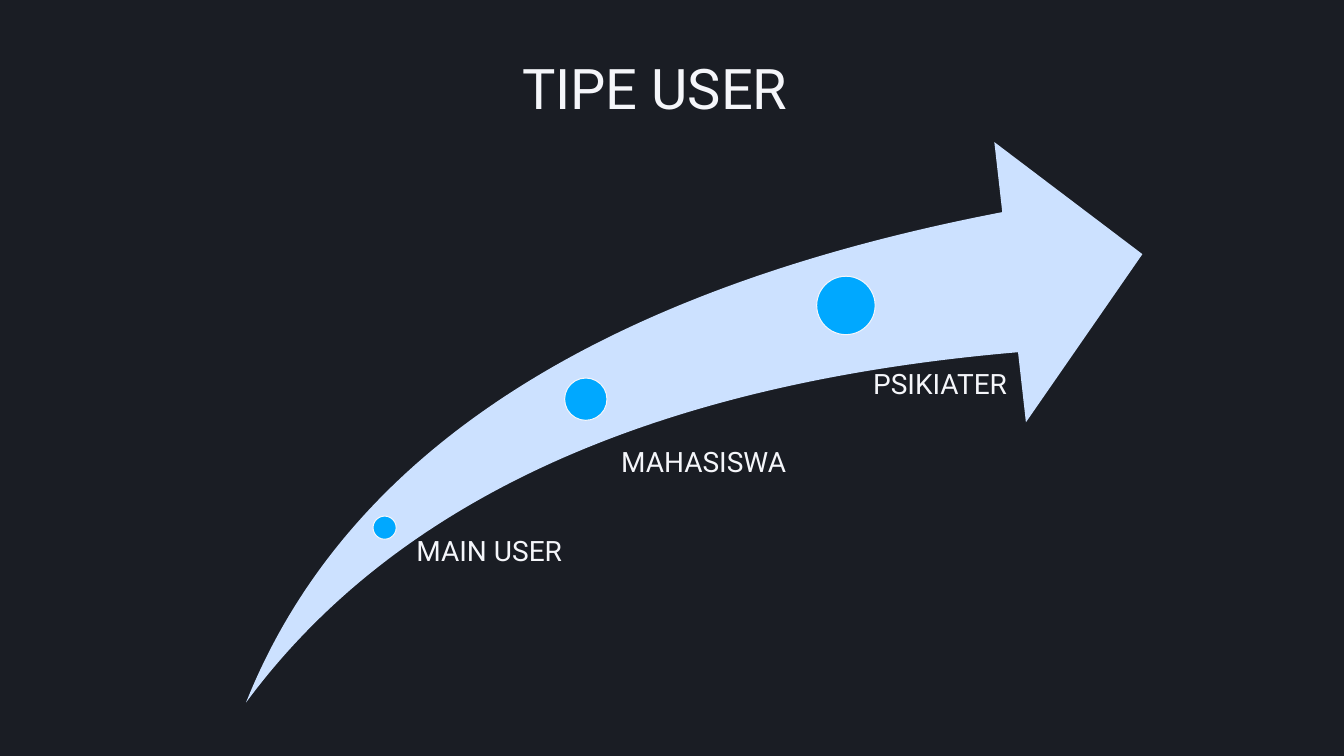
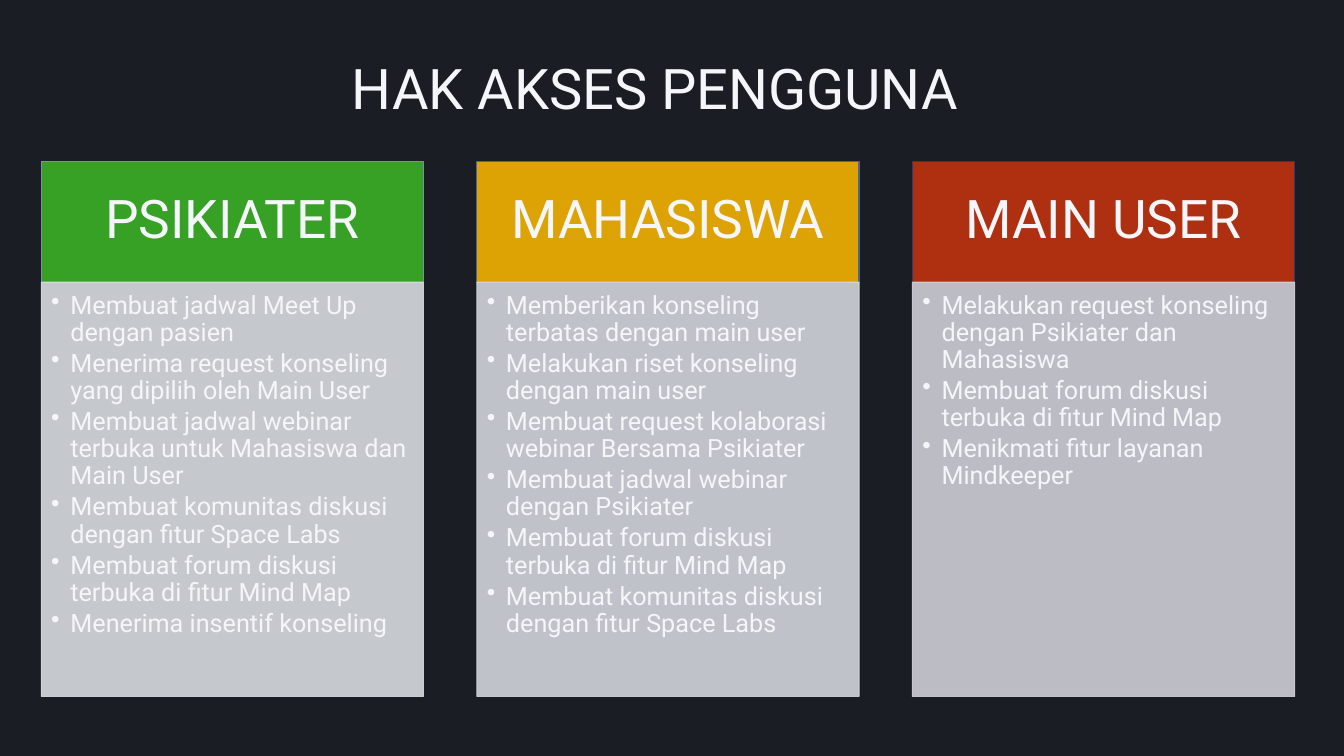
"""Build two slides on user types and their access rights."""
from dataclasses import dataclass

from pptx import Presentation
from pptx.dml.color import RGBColor
from pptx.enum.shapes import MSO_SHAPE
from pptx.enum.text import MSO_ANCHOR, MSO_AUTO_SIZE, PP_ALIGN
from pptx.oxml.ns import qn
from pptx.shapes.autoshape import Shape
from pptx.slide import Slide
from pptx.util import Inches, Pt

RECTANGLE = MSO_SHAPE.RECTANGLE
OVAL = MSO_SHAPE.OVAL
SWOOSH_ARROW = MSO_SHAPE.SWOOSH_ARROW
TOP = MSO_ANCHOR.TOP
MIDDLE = MSO_ANCHOR.MIDDLE
LEFT = PP_ALIGN.LEFT
CENTER = PP_ALIGN.CENTER
GROW = MSO_AUTO_SIZE.SHAPE_TO_FIT_TEXT

BACKGROUND = RGBColor(0x1A, 0x1D, 0x24)
LIGHT = RGBColor(0xF5, 0xF6, 0xFA)
PALE_BLUE = RGBColor(0xCC, 0xE1, 0xFF)
BRIGHT_BLUE = RGBColor(0x00, 0xA8, 0xFF)
GREEN = RGBColor(0x36, 0xA1, 0x25)
GREEN_EDGE = RGBColor(0x7F, 0x8F, 0xA1)
GREEN_PANEL = RGBColor(0xD8, 0xDB, 0xE0)
YELLOW = RGBColor(0xDD, 0xA3, 0x04)
YELLOW_EDGE = RGBColor(0x4B, 0x66, 0x93)
YELLOW_PANEL = RGBColor(0xD2, 0xD5, 0xDB)
RED = RGBColor(0xAF, 0x30, 0x11)
RED_EDGE = RGBColor(0x27, 0x3C, 0x75)
RED_PANEL = RGBColor(0xCD, 0xCE, 0xD6)

FONT = "Roboto"
PANEL_OPACITY = 90
CARD_LEFT = 0.41
CARD_STEP = 4.32
CARD_WIDTH = 3.79
HEADER_TOP = 1.6
HEADER_HEIGHT = 1.2
PANEL_HEIGHT = 4.11


@dataclass(frozen=True)
class Box:
    """Position and size in inches."""

    left: float
    top: float
    width: float
    height: float

    def lengths(self) -> tuple[Inches, Inches, Inches, Inches]:
        """Return the four values as lengths."""
        return (Inches(self.left), Inches(self.top),
                Inches(self.width), Inches(self.height))


@dataclass(frozen=True)
class TextStyle:
    """Formatting of the text in one shape."""

    size: float
    align: PP_ALIGN = LEFT
    anchor: MSO_ANCHOR = TOP
    insets: tuple[float, float, float, float] = (0, 0, 0, 0)
    line_spacing: float = 0.9
    space_after: float = 0
    bulleted: bool = False


@dataclass(frozen=True)
class Milestone:
    """A dot on the arrow and its label."""

    name: str
    dot: Box
    label: Box
    inset: float


@dataclass(frozen=True)
class Card:
    """A user type and its access rights."""

    name: str
    fill: RGBColor
    edge: RGBColor
    panel: RGBColor
    rights: tuple[str, ...]


TITLE_BOX = Box(3.28, 0.53, 6.43, 0.67)
ARROW_BOX = Box(2.44, 1.41, 8.89, 5.56)
TITLE_STYLE = TextStyle(40, CENTER, line_spacing=1.0)
HEADER_STYLE = TextStyle(38, CENTER, MIDDLE, (0.3, 0.17, 0.3, 0.17))
RIGHTS_STYLE = TextStyle(18, insets=(0.1, 0.1, 0.14, 0.16),
                         space_after=2.7, bulleted=True)

MILESTONES = (
    Milestone("MAIN USER", Box(3.7, 5.12, 0.23, 0.23), Box(4.01, 5.33, 2.07, 1.43), 0.12),
    Milestone("MAHASISWA", Box(5.6, 3.75, 0.42, 0.42), Box(5.94, 4.45, 2.13, 2.52), 0.22),
    Milestone("PSIKIATER", Box(8.1, 2.74, 0.58, 0.58), Box(8.35, 3.67, 2.13, 2.35), 0.31),
)

CARDS = (
    Card("PSIKIATER", GREEN, GREEN_EDGE, GREEN_PANEL, (
        "Membuat jadwal Meet Up dengan pasien",
        "Menerima request konseling yang dipilih oleh Main User",
        "Membuat jadwal webinar terbuka untuk Mahasiswa dan Main User",
        "Membuat komunitas diskusi dengan fitur Space Labs",
        "Membuat forum diskusi terbuka di fitur Mind Map",
        "Menerima insentif konseling",
    )),
    Card("MAHASISWA", YELLOW, YELLOW_EDGE, YELLOW_PANEL, (
        "Memberikan konseling terbatas dengan main user",
        "Melakukan riset konseling dengan main user",
        "Membuat request kolaborasi webinar Bersama Psikiater",
        "Membuat jadwal webinar dengan Psikiater",
        "Membuat forum diskusi terbuka di fitur Mind Map",
        "Membuat komunitas diskusi dengan fitur Space Labs",
    )),
    Card("MAIN USER", RED, RED_EDGE, RED_PANEL, (
        "Melakukan request konseling dengan Psikiater dan Mahasiswa",
        "Membuat forum diskusi terbuka di fitur Mind Map",
        "Menikmati fitur layanan Mindkeeper",
    )),
)


def write_text(shape: Shape, lines: tuple[str, ...], style: TextStyle) -> None:
    """Fill a shape with one paragraph per line."""
    frame = shape.text_frame
    frame.text = "\n".join(lines)
    frame.word_wrap = True
    frame.vertical_anchor = style.anchor
    (frame.margin_left, frame.margin_top,
     frame.margin_right, frame.margin_bottom) = map(Inches, style.insets)
    for paragraph in frame.paragraphs:
        if style.bulleted:
            properties = paragraph._p.get_or_add_pPr()
            properties.set("marL", str(Inches(0.19)))
            properties.set("indent", str(-Inches(0.19)))
            bullet = properties.makeelement(qn("a:buChar"), {"char": "•"})
            properties.append(bullet)
            paragraph.level = 1
        paragraph.alignment = style.align
        paragraph.line_spacing = style.line_spacing
        paragraph.space_after = Pt(style.space_after)
        for run in paragraph.runs:
            run.font.name = FONT
            run.font.size = Pt(style.size)
            run.font.color.rgb = LIGHT


def add_text(slide: Slide, box: Box, text: str, style: TextStyle) -> Shape:
    """Add a text box."""
    shape = slide.shapes.add_textbox(*box.lengths())
    write_text(shape, (text,), style)
    return shape


def add_figure(slide: Slide, kind: MSO_SHAPE, box: Box, fill: RGBColor,
               edge: RGBColor | None = None, opacity: int = 100) -> Shape:
    """Add a flat preset shape, with an outline if an edge colour is given."""
    shape = slide.shapes.add_shape(kind, *box.lengths())
    shape.shadow.inherit = False
    shape.fill.solid()
    shape.fill.fore_color.rgb = fill
    if edge is None:
        shape.line.fill.background()
    else:
        shape.line.color.rgb = edge
        shape.line.width = Pt(0.75)
    if opacity < 100:
        for color in list(shape._element.spPr.iter(qn("a:srgbClr"))):
            color.append(color.makeelement(qn("a:alpha"), {"val": str(opacity * 1000)}))
    return shape


def add_titled_slide(presentation: Presentation, title: str) -> Slide:
    """Add a blank slide with the shared title."""
    slide = presentation.slides.add_slide(presentation.slide_layouts[6])
    shape = add_text(slide, TITLE_BOX, title, TITLE_STYLE)
    shape.text_frame.auto_size = GROW
    return slide


def add_milestone(slide: Slide, milestone: Milestone) -> None:
    """Draw a dot and its label."""
    add_figure(slide, OVAL, milestone.dot, BRIGHT_BLUE, LIGHT)
    style = TextStyle(20, insets=(milestone.inset, 0, 0, 0))
    add_text(slide, milestone.label, milestone.name, style)


def add_card(slide: Slide, card: Card, left: float) -> None:
    """Draw a coloured header above a list of rights."""
    header_box = Box(left, HEADER_TOP, CARD_WIDTH, HEADER_HEIGHT)
    header = add_figure(slide, RECTANGLE, header_box, card.fill, card.edge)
    write_text(header, (card.name,), HEADER_STYLE)
    panel_box = Box(left, HEADER_TOP + HEADER_HEIGHT, CARD_WIDTH, PANEL_HEIGHT)
    panel = add_figure(slide, RECTANGLE, panel_box, card.panel, card.panel, PANEL_OPACITY)
    write_text(panel, card.rights, RIGHTS_STYLE)


def main() -> None:
    """Build and save the presentation."""
    presentation = Presentation()
    presentation.slide_width = Inches(13.33)
    presentation.slide_height = Inches(7.5)
    background = presentation.slide_master.background.fill
    background.solid()
    background.fore_color.rgb = BACKGROUND

    types_slide = add_titled_slide(presentation, "TIPE USER")
    arrow = add_figure(types_slide, SWOOSH_ARROW, ARROW_BOX, PALE_BLUE)
    arrow.adjustments[0] = 0.25
    arrow.adjustments[1] = 0.25
    for milestone in MILESTONES:
        add_milestone(types_slide, milestone)

    rights_slide = add_titled_slide(presentation, "HAK AKSES PENGGUNA")
    for index, card in enumerate(CARDS):
        add_card(rights_slide, card, CARD_LEFT + index * CARD_STEP)

    presentation.save("out.pptx")


if __name__ == "__main__":
    main()
